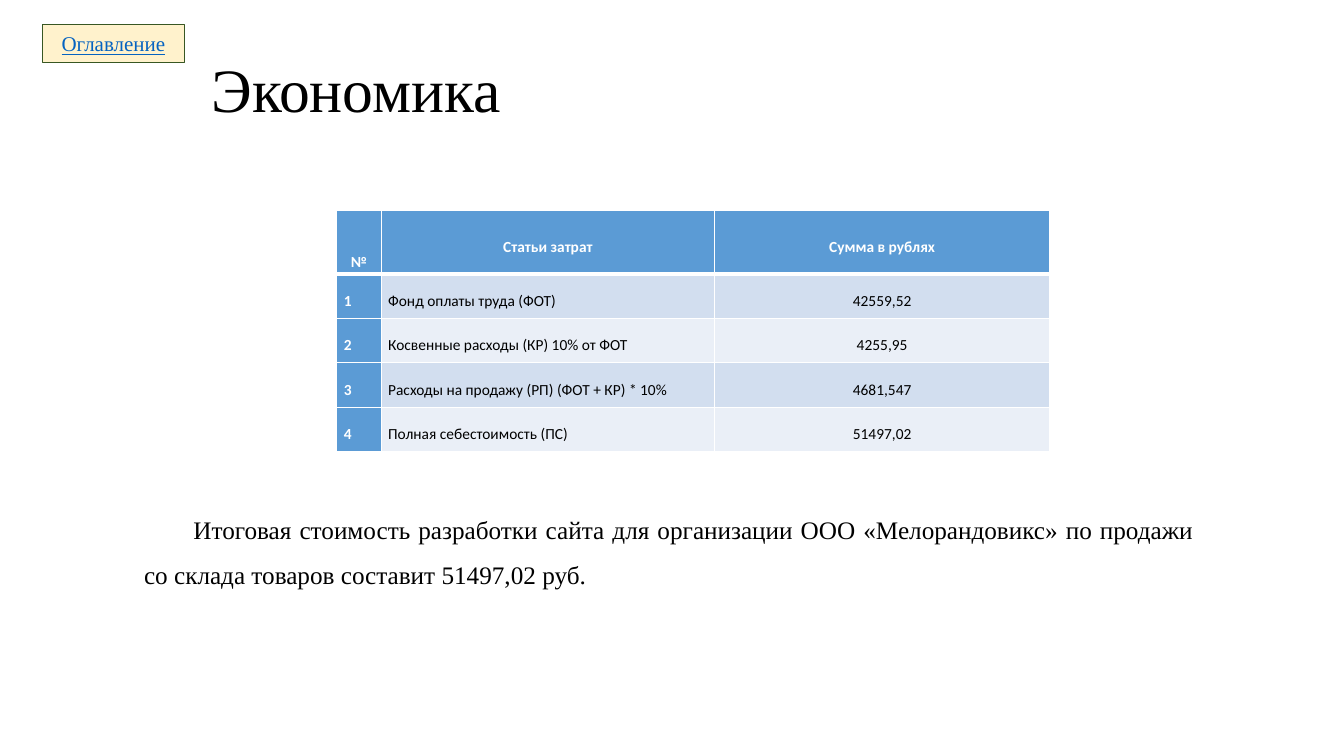
from lxml.etree import SubElement
from pptx import Presentation
from pptx.dml.color import RGBColor
from pptx.enum.shapes import MSO_SHAPE
from pptx.enum.text import MSO_ANCHOR, PP_ALIGN
from pptx.oxml.ns import qn
from pptx.util import Inches, Pt

COLORS = {
    "black": "000000",
    "white": "FFFFFF",
    "link": "0563C1",
    "button": "FFF2CC",
    "button_line": "385723",
    "header": "5B9BD5",
    "odd_row": "D2DEEF",
    "even_row": "EAEFF7",
}
SERIF = "Times New Roman"
HEADINGS = ["№", "Статьи затрат", "Сумма в рублях"]
COSTS = [
    ("Фонд оплаты труда (ФОТ)", "42559,52"),
    ("Косвенные расходы (КР) 10% от ФОТ", "4255,95"),
    ("Расходы на продажу (РП) (ФОТ + КР) * 10%", "4681,547"),
    ("Полная себестоимость (ПС)", "51497,02"),
]
COLUMN_WIDTHS = [0.44, 3.31, 3.32]
HEADER_HEIGHT = 0.63
ROW_HEIGHT = 0.44


def color(name):
    return RGBColor.from_string(COLORS[name])


def write(frame, text, size, font=SERIF, ink="black", bold=False, underline=False,
          align=PP_ALIGN.LEFT, spacing=1.0, indent=0):
    frame.word_wrap = True
    para = frame.paragraphs[0]
    para.alignment = align
    para.line_spacing = spacing
    if indent:
        properties = para._p.get_or_add_pPr()
        properties.set("marL", "0")
        properties.set("indent", str(Inches(indent)))
    span = para.add_run()
    span.text = text
    span.font.size = Pt(size)
    span.font.name = font
    span.font.bold = bold
    span.font.underline = underline
    span.font.color.rgb = color(ink)


def add_text(page, left, top, width, height, text, anchor=MSO_ANCHOR.TOP, **style):
    box = page.shapes.add_textbox(Inches(left), Inches(top), Inches(width), Inches(height))
    box.text_frame.vertical_anchor = anchor
    write(box.text_frame, text, **style)


def add_button(page, left, top, width, height, text):
    button = page.shapes.add_shape(
        MSO_SHAPE.RECTANGLE, Inches(left), Inches(top), Inches(width), Inches(height))
    button.shadow.inherit = False
    button.fill.solid()
    button.fill.fore_color.rgb = color("button")
    button.line.color.rgb = color("button_line")
    button.line.width = Pt(1)
    button.text_frame.vertical_anchor = MSO_ANCHOR.MIDDLE
    write(button.text_frame, text, 15, ink="link", underline=True, align=PP_ALIGN.CENTER)


def set_borders(cell, top, bottom):
    properties = cell._tc.get_or_add_tcPr()
    for side, width in (("L", 1), ("R", 1), ("T", top), ("B", bottom)):
        border = SubElement(properties, qn(f"a:ln{side}"), w=str(Pt(width)))
        fill = SubElement(border, qn("a:solidFill"))
        SubElement(fill, qn("a:srgbClr"), val=COLORS["white"])


def fill_cell(cell, row, column, text):
    heading = row == 0
    accent = heading or column == 0
    band = "odd_row" if row % 2 else "even_row"
    set_borders(cell, top=3 if row == 1 else 1, bottom=3 if heading else 1)
    cell.fill.solid()
    cell.fill.fore_color.rgb = color("header" if accent else band)
    cell.margin_left = cell.margin_right = Inches(0.07)
    cell.margin_top = cell.margin_bottom = 0
    cell.vertical_anchor = MSO_ANCHOR.MIDDLE
    if heading and column == 0:
        cell.vertical_anchor = MSO_ANCHOR.BOTTOM
        cell.margin_bottom = Inches(0.02)
    centred = heading or column == 2
    write(cell.text_frame, text, 11, font="Calibri", ink="white" if accent else "black",
          bold=accent, align=PP_ALIGN.CENTER if centred else PP_ALIGN.JUSTIFY, spacing=1.5)


def add_cost_table(page, left, top):
    rows = [HEADINGS] + [(str(number), *cost) for number, cost in enumerate(COSTS, 1)]
    heights = [HEADER_HEIGHT] + [ROW_HEIGHT] * len(COSTS)
    table = page.shapes.add_table(
        len(rows), len(HEADINGS), Inches(left), Inches(top),
        Inches(sum(COLUMN_WIDTHS)), Inches(sum(heights))).table
    for column, width in zip(table.columns, COLUMN_WIDTHS):
        column.width = Inches(width)
    for row, height in zip(table.rows, heights):
        row.height = Inches(height)
    for row, texts in enumerate(rows):
        for column, text in enumerate(texts):
            fill_cell(table.cell(row, column), row, column, text)


def main():
    deck = Presentation()
    deck.slide_width = Inches(13.33)
    deck.slide_height = Inches(7.5)
    page = deck.slides.add_slide(deck.slide_layouts[6])
    add_text(page, 2, 0.22, 9.75, 1.4, "Экономика", anchor=MSO_ANCHOR.MIDDLE,
             size=44, spacing=0.9)
    add_button(page, 0.42, 0.24, 1.41, 0.38, "Оглавление")
    add_text(page, 1.33, 4.9, 10.61, 0.96,
             "Итоговая стоимость разработки сайта для организации ООО «Мелорандовикс» "
             "по продажи со склада товаров составит 51497,02 руб.",
             size=18, align=PP_ALIGN.JUSTIFY, spacing=1.5, indent=0.49)
    add_cost_table(page, 3.34, 2.09)
    deck.save("out.pptx")


if __name__ == "__main__":
    main()
